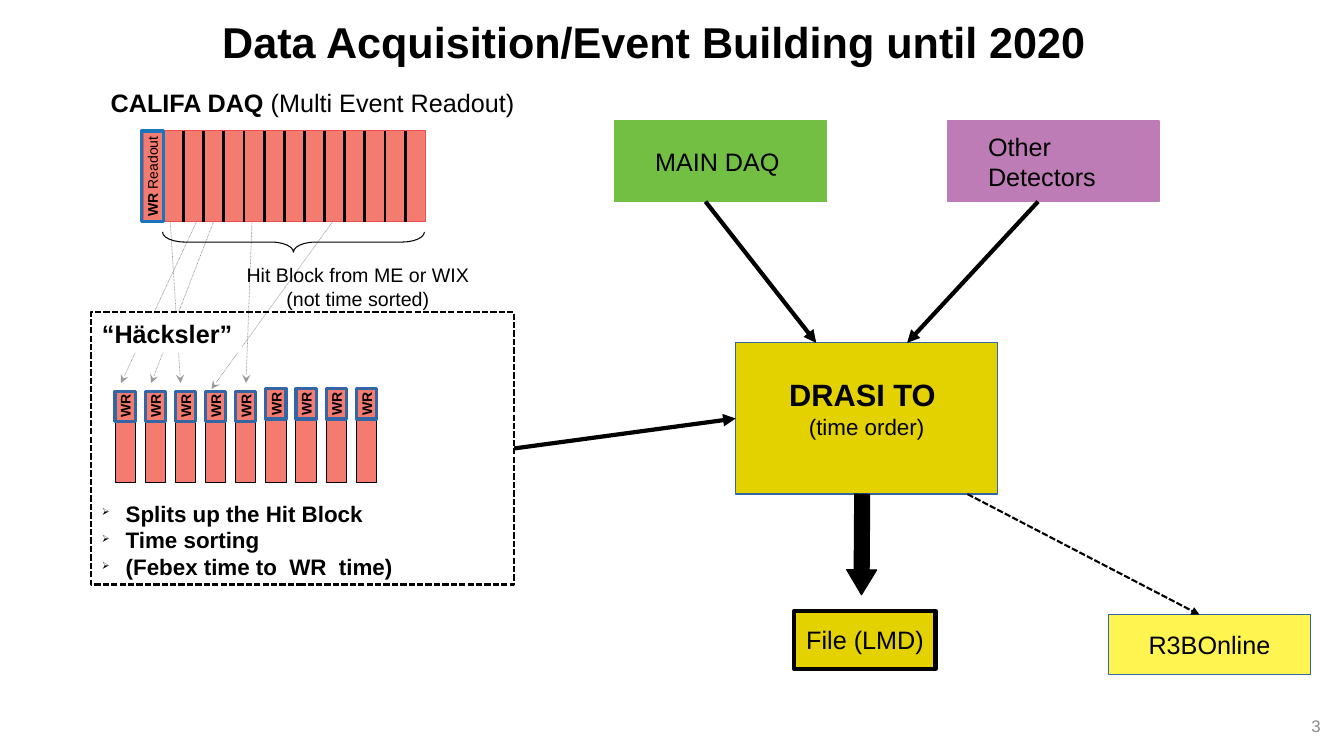
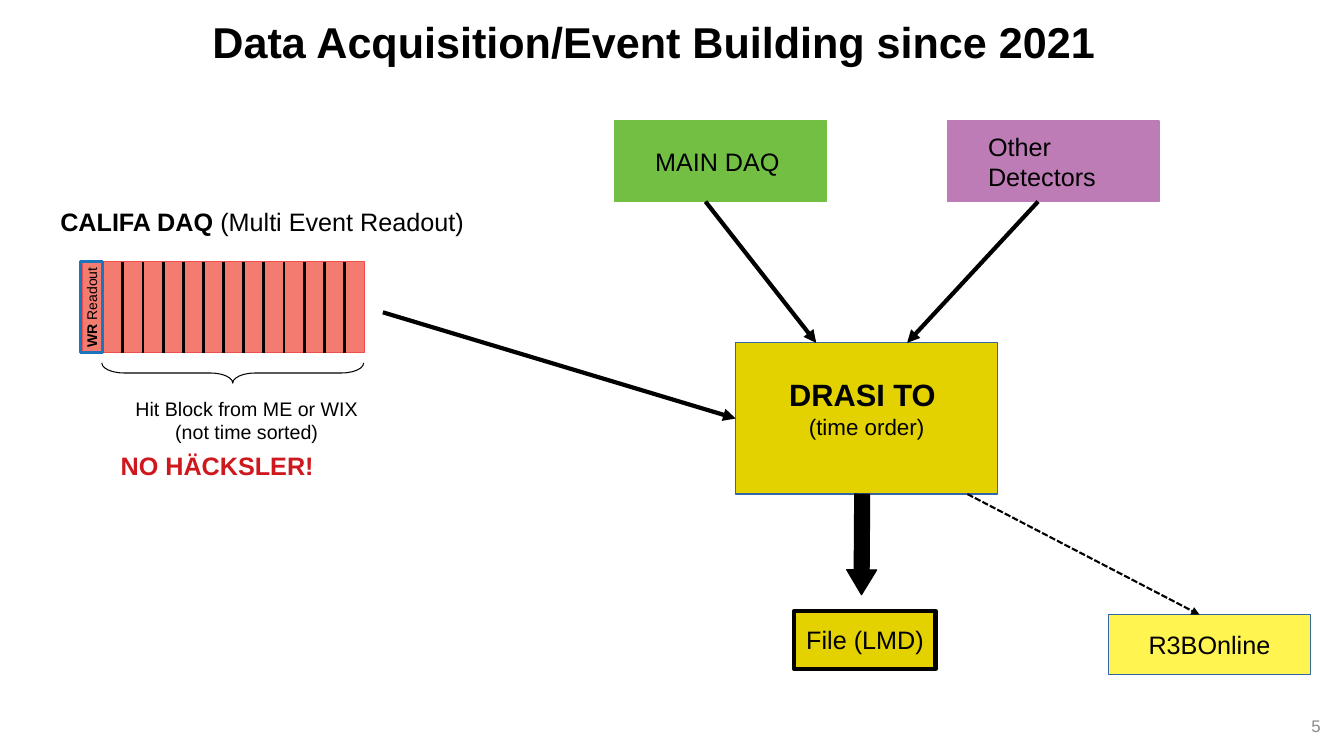
from lxml.etree import SubElement
from pptx import Presentation
from pptx.dml.color import RGBColor
from pptx.enum.dml import MSO_LINE
from pptx.enum.shapes import MSO_CONNECTOR, MSO_SHAPE
from pptx.enum.text import MSO_ANCHOR, PP_ALIGN
from pptx.oxml.ns import qn
from pptx.util import Cm, Pt

FONT = "Arial"
BLACK = RGBColor(0x00, 0x00, 0x00)
WHITE = RGBColor(0xFF, 0xFF, 0xFF)
GRAY = RGBColor(0x99, 0x99, 0x99)
PAGE_GRAY = RGBColor(0x8B, 0x8B, 0x8B)
SALMON = RGBColor(0xF3, 0x7B, 0x70)
CORAL = RGBColor(0xF0, 0x4E, 0x4D)
BLUE = RGBColor(0x1B, 0x75, 0xBC)
STEEL = RGBColor(0x34, 0x65, 0xA4)
GOLD = RGBColor(0xE3, 0xD2, 0x00)
YELLOW = RGBColor(0xFF, 0xF4, 0x50)
GREEN = RGBColor(0x72, 0xBF, 0x44)
PURPLE = RGBColor(0xBD, 0x7C, 0xB5)
RED = RGBColor(0xCE, 0x18, 0x1E)

STRIP_W, STRIP_H, STRIP_CELLS = 7.11, 2.29, 14
HIT_COUNT, HIT_PITCH, HIT_W = 9, 0.76, 0.51


def add_run(p, text, size, bold=False, color=BLACK):
    r = p.add_run()
    r.text = text
    r.font.name = FONT
    r.font.size = Pt(size)
    r.font.bold = bold
    r.font.color.rgb = color


def set_text(sp, paragraphs, align=PP_ALIGN.LEFT, anchor=MSO_ANCHOR.TOP,
             insets=(0.25, 0.13, 0.25, 0.13), wrap=True):
    """Write paragraphs, each a list of (text, size, bold, color) runs."""
    tf = sp.text_frame
    tf.word_wrap = wrap
    tf.vertical_anchor = anchor
    tf.margin_left, tf.margin_top, tf.margin_right, tf.margin_bottom = map(Cm, insets)
    for i, runs in enumerate(paragraphs):
        p = tf.add_paragraph() if i else tf.paragraphs[0]
        p.alignment = align
        for run in runs:
            add_run(p, *run)
    return tf


def add_text(s, x, y, w, h, *paragraphs, **style):
    sp = s.shapes.add_textbox(Cm(x), Cm(y), Cm(w), Cm(h))
    return set_text(sp, paragraphs, **style)


def add_box(s, x, y, w, h, fill=None, line=None, width=0, shape=MSO_SHAPE.RECTANGLE):
    sp = s.shapes.add_shape(shape, Cm(x), Cm(y), Cm(w), Cm(h))
    sp.shadow.inherit = False
    if fill is None:
        sp.fill.background()
    else:
        sp.fill.solid()
        sp.fill.fore_color.rgb = fill
    if line is None:
        sp.line.fill.background()
    else:
        sp.line.color.rgb = line
        sp.line.width = Pt(width)
    return sp


def add_line(s, x1, y1, x2, y2, color=BLACK, width=0.0, dash=None, head=None):
    c = s.shapes.add_connector(MSO_CONNECTOR.STRAIGHT, Cm(x1), Cm(y1), Cm(x2), Cm(y2))
    c.line.color.rgb = color
    c.line.width = Pt(width)
    if dash:
        c.line.dash_style = dash
    if head:
        SubElement(c.line._get_or_add_ln(), qn("a:tailEnd"), type=head)
    SubElement(c._element.spPr, qn("a:effectLst"))
    return c


def add_upright_box(s, x, y, w, h, runs, fill, line):
    """Outlined cell whose text reads from bottom to top."""
    sp = add_box(s, x, y, w, h, fill, line, 2.3)
    tf = set_text(sp, [runs], PP_ALIGN.CENTER, MSO_ANCHOR.MIDDLE, (0, 0, 0, 0), wrap=False)
    tf._txBody.bodyPr.set("vert", "vert270")


def add_bullet(p):
    pPr = p._p.get_or_add_pPr()
    pPr.set("marL", str(Cm(0.6)))
    pPr.set("indent", str(-Cm(0.6)))
    color = SubElement(pPr, qn("a:buClr"))
    SubElement(color, qn("a:srgbClr"), val=str(BLACK))
    SubElement(pPr, qn("a:buSzPct"), val="45000")
    SubElement(pPr, qn("a:buChar"), char="➢")


def new_slide(prs, title, number):
    s = prs.slides.add_slide(prs.slide_layouts[6])
    tf = add_text(s, 2.34, 0.56, 28.3, 1.27, [(title, 30.8, True)],
                  align=PP_ALIGN.CENTER, anchor=MSO_ANCHOR.MIDDLE)
    tf.paragraphs[0].line_spacing = 0.7
    add_text(s, 25.91, 17.78, 7.62, 1.02, [(number, 12, False, PAGE_GRAY)],
             align=PP_ALIGN.RIGHT, anchor=MSO_ANCHOR.MIDDLE)
    return s


def add_califa(s, label_at, strip_at, hit_at):
    """Event strip with its heading, brace and hit block caption."""
    add_text(s, *label_at, 11.68, 0.97,
             [("CALIFA DAQ", 18, True), (" (Multi Event Readout)", 18)])
    x, y = strip_at
    add_box(s, x, y, STRIP_W, STRIP_H, SALMON, CORAL)
    for i in range(1, STRIP_CELLS):
        cell_x = x + i * STRIP_W / STRIP_CELLS
        add_line(s, cell_x, y, cell_x, y + STRIP_H)
    add_upright_box(s, x - 0.05, y, 0.56, STRIP_H,
                    [("WR", 10, True), (" Readout", 10)], None, BLUE)
    brace = add_box(s, x + 3.53, y - 0.5, 0.51, 6.6, None, BLACK,
                    shape=MSO_SHAPE.RIGHT_BRACE)
    brace.adjustments[0] = 1.1
    brace.rotation = 90
    add_text(s, *hit_at, 6.86, 1.37,
             [("Hit Block from ME or WIX (not time sorted)", 14)],
             align=PP_ALIGN.CENTER)


def add_haecksler(s):
    for i in range(HIT_COUNT):
        x = 2.9 + i * HIT_PITCH
        add_box(s, x, 9.86, HIT_W, 2.29, SALMON, BLACK)
        add_upright_box(s, x, 9.86 if i < 5 else 9.8, HIT_W, 0.76,
                        [("WR", 10, True)], SALMON, STEEL)
    add_box(s, 2.29, 7.87, 3.81, 1.02, WHITE)
    frame = add_box(s, 2.29, 7.87, 10.67, 6.86, None, BLACK, 1.5)
    frame.line.dash_style = MSO_LINE.SQUARE_DOT
    tf = set_text(frame, [[("“Häcksler”", 18, True)],
                          [("Splits up the Hit Block", 16, True)],
                          [("Time sorting", 16, True)],
                          [("(Febex time to  WR  time)", 16, True)]],
                  insets=(0.28, 0.15, 0.28, 0.15))
    tf.paragraphs[1].space_before = Pt(108)
    for p in tf.paragraphs[1:]:
        add_bullet(p)
    return frame


def add_event_builder(s):
    """Sources, time sorter and outputs; returns the time sorter box."""
    drasi = add_box(s, 18.54, 8.64, 6.6, 3.81, GOLD, STEEL)
    set_text(drasi, [[("DRASI TO ", 22, True)], [("(time order)", 16)]],
             PP_ALIGN.CENTER, insets=(0.25, 0.84, 0.25, 0.13))
    for x, name, color in ((15.49, "MAIN DAQ", GREEN), (23.88, "Other Detectors", PURPLE)):
        source = add_box(s, x, 3.05, 5.33, 2.03, color, color)
        set_text(source, [[(name, 18)]], anchor=MSO_ANCHOR.MIDDLE,
                 insets=(1.02, 0.13, 0.25, 0.13))
    add_line(s, 17.78, 5.08, 20.57, 8.64, width=3, head="triangle")
    add_line(s, 26.16, 5.08, 22.86, 8.64, width=3, head="triangle")
    down = add_box(s, 21.34, 12.45, 0.76, 2.54, BLACK, BLACK, shape=MSO_SHAPE.DOWN_ARROW)
    down.adjustments[0] = 0.5
    down.adjustments[1] = 0.83
    down.rotation = 0.4
    outputs = ((20.02, 15.39, 3.56, 1.47, GOLD, BLACK, 3, "File (LMD)"),
               (27.94, 15.49, 5.08, 1.52, YELLOW, STEEL, 0, "R3BOnline"))
    for *box, name in outputs:
        set_text(add_box(s, *box), [[(name, 18)]], PP_ALIGN.CENTER,
                 MSO_ANCHOR.MIDDLE, wrap=False)
    add_line(s, 24.38, 12.45, 30.23, 15.49, width=1.5,
             dash=MSO_LINE.SQUARE_DOT, head="triangle")
    return drasi


def build_until_2020(prs):
    s = new_slide(prs, "Data Acquisition/Event Building until 2020", "3")
    for x1, x2, y2 in ((4.29, 4.55, 9.65), (4.95, 3.05, 9.65), (5.38, 3.81, 9.65),
                       (8.38, 5.33, 9.8), (6.35, 6.2, 9.65)):
        add_line(s, x1, 5.59, x2, y2, GRAY, 0.5, MSO_LINE.ROUND_DOT, "stealth")
    add_califa(s, (2.54, 2.08), (3.61, 3.3), (5.59, 6.5))
    frame = add_haecksler(s)
    drasi = add_event_builder(s)
    feed = add_line(s, 12.95, 11.3, 18.54, 10.54, width=3, head="triangle")
    feed.begin_connect(frame, 3)
    feed.end_connect(drasi, 1)


def build_since_2021(prs):
    s = new_slide(prs, "Data Acquisition/Event Building since 2021", "5")
    add_califa(s, (1.27, 5.08), (2.08, 6.6), (2.79, 9.86))
    add_text(s, 2.79, 11.23, 11.18, 0.97, [("NO HÄCKSLER!", 18, True, RED)])
    drasi = add_event_builder(s)
    feed = add_line(s, 9.65, 7.87, 18.54, 10.54, width=3, head="triangle")
    feed.end_connect(drasi, 1)


def main():
    prs = Presentation()
    prs.slide_width, prs.slide_height = Cm(33.87), Cm(19.05)
    build_until_2020(prs)
    build_since_2021(prs)
    prs.save("out.pptx")


if __name__ == "__main__":
    main()
